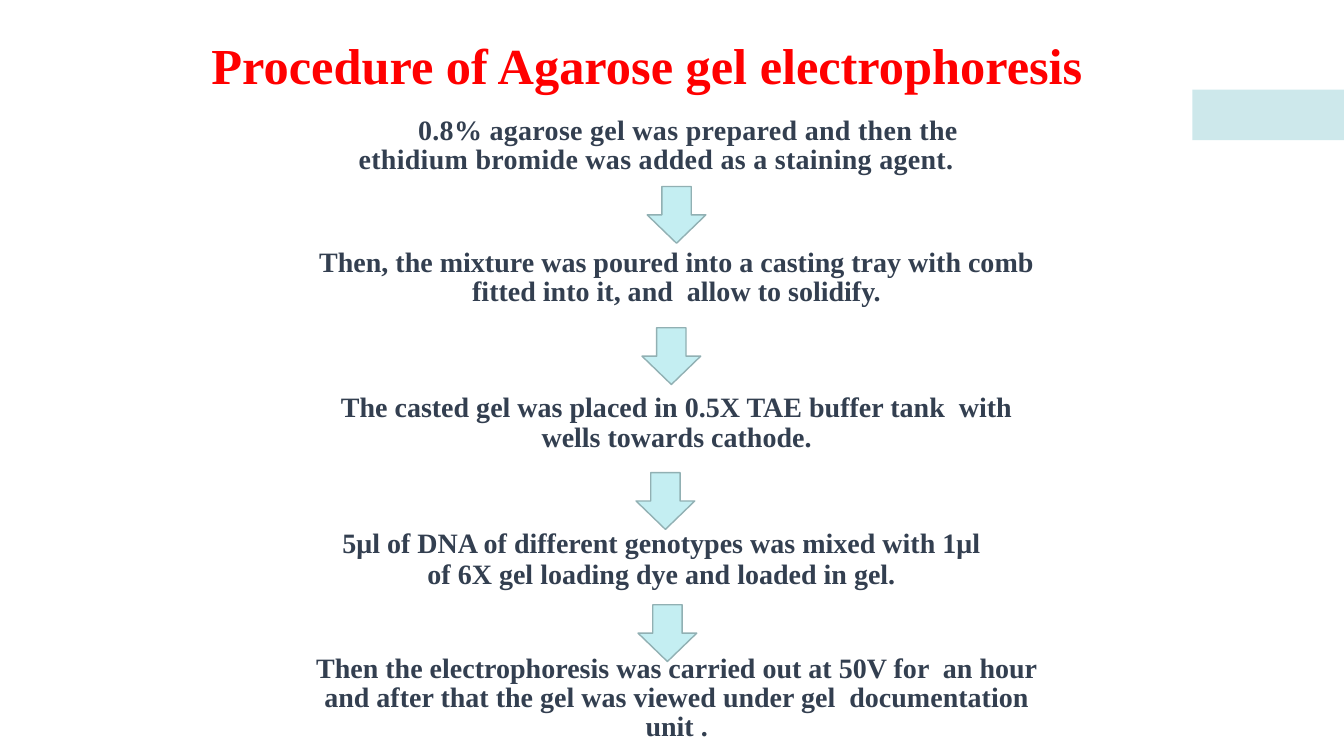
import pptx
import pptx.util
import pptx.dml.color
import pptx.enum.shapes
import pptx.enum.text
import pptx.oxml
import pptx.oxml.ns

Cm = pptx.util.Cm
Pt = pptx.util.Pt
RGBColor = pptx.dml.color.RGBColor
SHAPE = pptx.enum.shapes.MSO_SHAPE
ALIGN = pptx.enum.text.PP_ALIGN
ANCHOR = pptx.enum.text.MSO_ANCHOR

RED = RGBColor(0xFF, 0x00, 0x00)
SLATE = RGBColor(0x33, 0x3F, 0x50)
BAND_TEAL = RGBColor(0x9C, 0xD3, 0xD9)
ARROW_FILL = RGBColor(0xC4, 0xEE, 0xF2)
ARROW_LINE = RGBColor(0x91, 0xB0, 0xB3)

FONT = "Times New Roman"

# text, line spacing, space before (pt), left and right margin (cm)
LATER_STEPS = [
    ("Then, the mixture was poured into a casting tray with comb fitted "
     "into it, and  allow to solidify.", Pt(20.8), 0, 0, 0),
    ("The casted gel was placed in 0.5X TAE buffer tank  with wells "
     "towards cathode.", Pt(20.9), 62.3, 0.76, 0.76),
    ("5μl of DNA of different genotypes was mixed with 1μl",
     Pt(22.4), 53.5, 0, 0.76),
    ("of 6X gel loading dye and loaded in gel.", Pt(22.4), 0, 0, 0.76),
    ("Then the electrophoresis was carried out at 50V for  an hour and "
     "after that the gel was viewed under gel  documentation unit .",
     0.86, 46.3, 0.38, 0.38),
]
ARROW_CORNERS = [(16.31, 4.7), (16.18, 8.26), (16.03, 11.91), (16.08, 15.24)]


def add_text_box(page, left, top, width, height, insets, anchor=ANCHOR.TOP):
    """Add an empty wrapping box; insets are (sides, top, bottom) in cm."""
    box = page.shapes.add_textbox(Cm(left), Cm(top), Cm(width), Cm(height))
    frame = box.text_frame
    frame.word_wrap = True
    frame.vertical_anchor = anchor
    sides, above, below = insets
    frame.margin_left = frame.margin_right = Cm(sides)
    frame.margin_top, frame.margin_bottom = Cm(above), Cm(below)
    return frame


def write_text(para, text, size=20, color=SLATE, align=ALIGN.LEFT,
               line_spacing=None, before=0, left=0, right=0, first=0, tracking=0):
    """Fill a paragraph; margins are in cm, tracking in points."""
    para.alignment = align
    para.line_spacing = line_spacing
    para.space_before = Pt(before)
    properties = para._p.get_or_add_pPr()
    for name, length in (("marL", left), ("marR", right), ("indent", first)):
        properties.set(name, str(int(Cm(length))))
    span = para.add_run()
    span.text = text
    span.font.name = FONT
    span.font.size = Pt(size)
    span.font.bold = True
    span.font.color.rgb = color
    span._r.get_or_add_rPr().set("spc", str(round(tracking * 100)))


def add_plain_shape(page, kind, left, top, width, height, fill, line=None):
    shape = page.shapes.add_shape(kind, Cm(left), Cm(top), Cm(width), Cm(height))
    shape.shadow.inherit = False
    shape.fill.solid()
    shape.fill.fore_color.rgb = fill
    if line is None:
        shape.line.fill.background()
    else:
        shape.line.color.rgb = line
        shape.line.width = Pt(1)
    return shape


def add_side_band(page, left, top, width, height):
    band = add_plain_shape(page, SHAPE.RECTANGLE, left, top, width, height, BAND_TEAL)
    color = band.fill._xPr.find(".//" + pptx.oxml.ns.qn("a:srgbClr"))
    alpha = pptx.oxml.parse_xml(
        f'<a:alpha {pptx.oxml.ns.nsdecls("a")} val="50000"/>')
    color.append(alpha)


def add_heading(page, left, top, width, height):
    frame = add_text_box(page, left, top, width, height, (0.25, 0.13, 0.13))
    write_text(frame.paragraphs[0], "Procedure of Agarose gel electrophoresis",
               size=36, color=RED)


def add_first_step(page, left, top, width, height):
    frame = add_text_box(page, left, top, width, height, (0, 0.15, 0), ANCHOR.MIDDLE)
    write_text(frame.paragraphs[0],
               "0.8% agarose gel was prepared and then the ethidium bromide "
               "was added as a staining agent.",
               line_spacing=Pt(20.8), left=0.89, first=1.5, tracking=0.2)


def add_later_steps(page, left, top, width, height):
    frame = add_text_box(page, left, top, width, height, (0, 0.15, 0))
    for index, (text, spacing, before, indent, right) in enumerate(LATER_STEPS):
        para = frame.add_paragraph() if index else frame.paragraphs[0]
        write_text(para, text, align=ALIGN.CENTER, line_spacing=spacing,
                   before=before, left=indent, right=right)


def add_arrows(page, width, height):
    for left, top in ARROW_CORNERS:
        add_plain_shape(page, SHAPE.DOWN_ARROW, left, top, width, height,
                        ARROW_FILL, ARROW_LINE)


def main():
    deck = pptx.Presentation()
    deck.slide_width, deck.slide_height = Cm(33.87), Cm(19.05)
    page = deck.slides.add_slide(deck.slide_layouts[6])
    add_side_band(page, 30.05, 2.26, 3.82, 1.27)
    add_first_step(page, 8.15, 2.79, 18.31, 1.65)
    add_later_steps(page, 7.44, 6.12, 19.23, 12.7)
    add_arrows(page, 1.48, 1.43)
    add_heading(page, 5.08, 0.74, 24.56, 4.11)
    deck.save("out.pptx")


if __name__ == "__main__":
    main()
